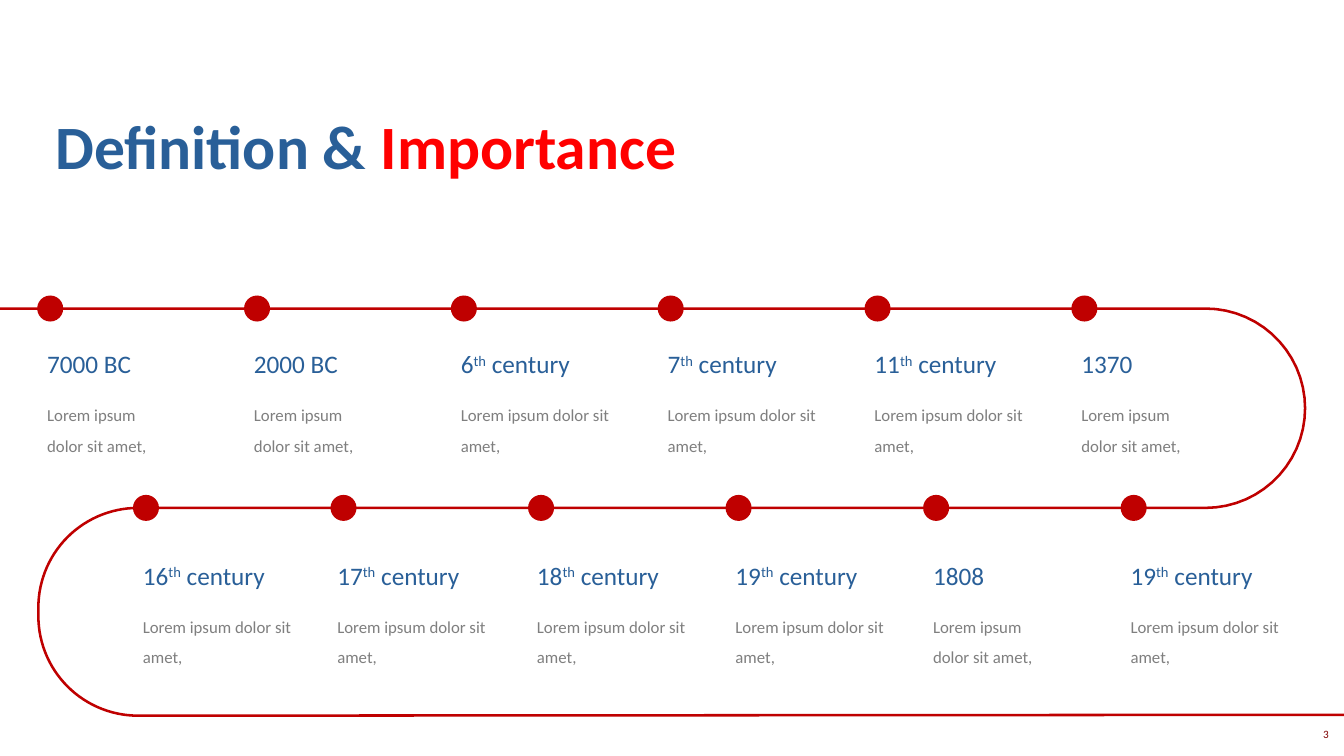
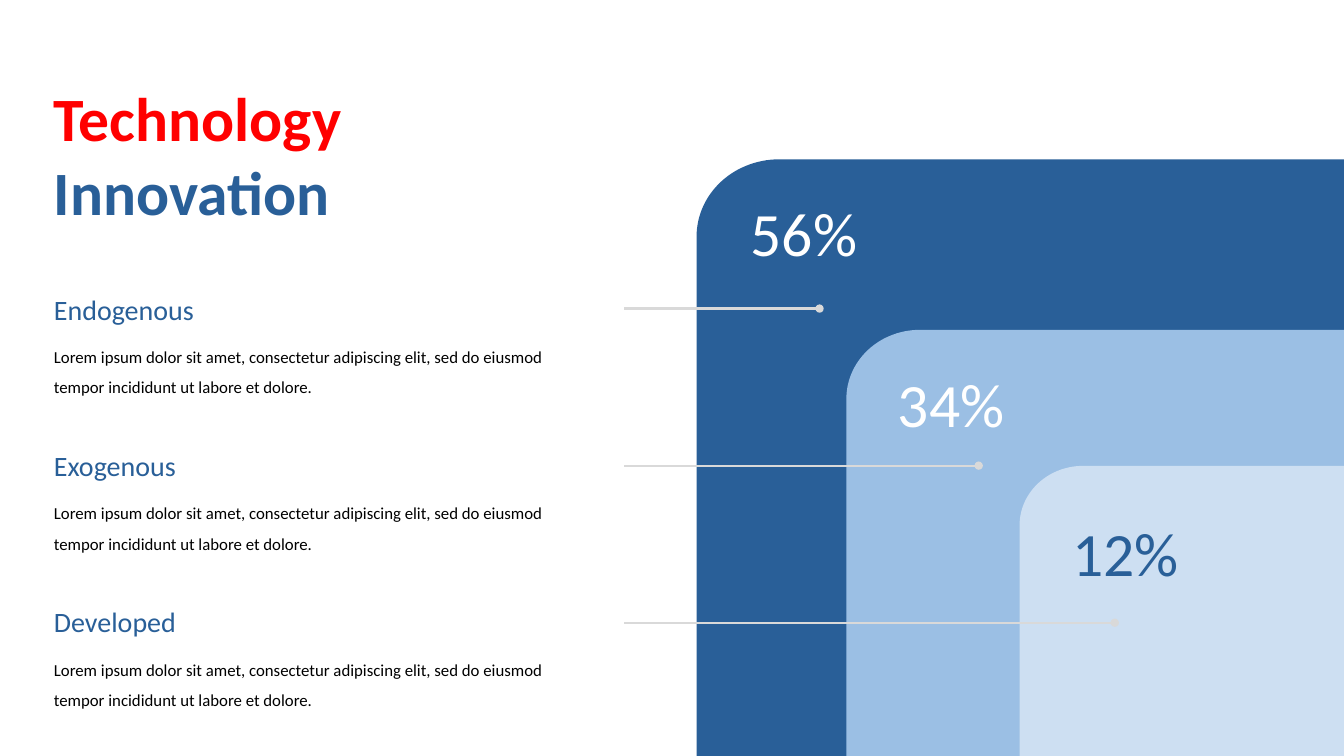
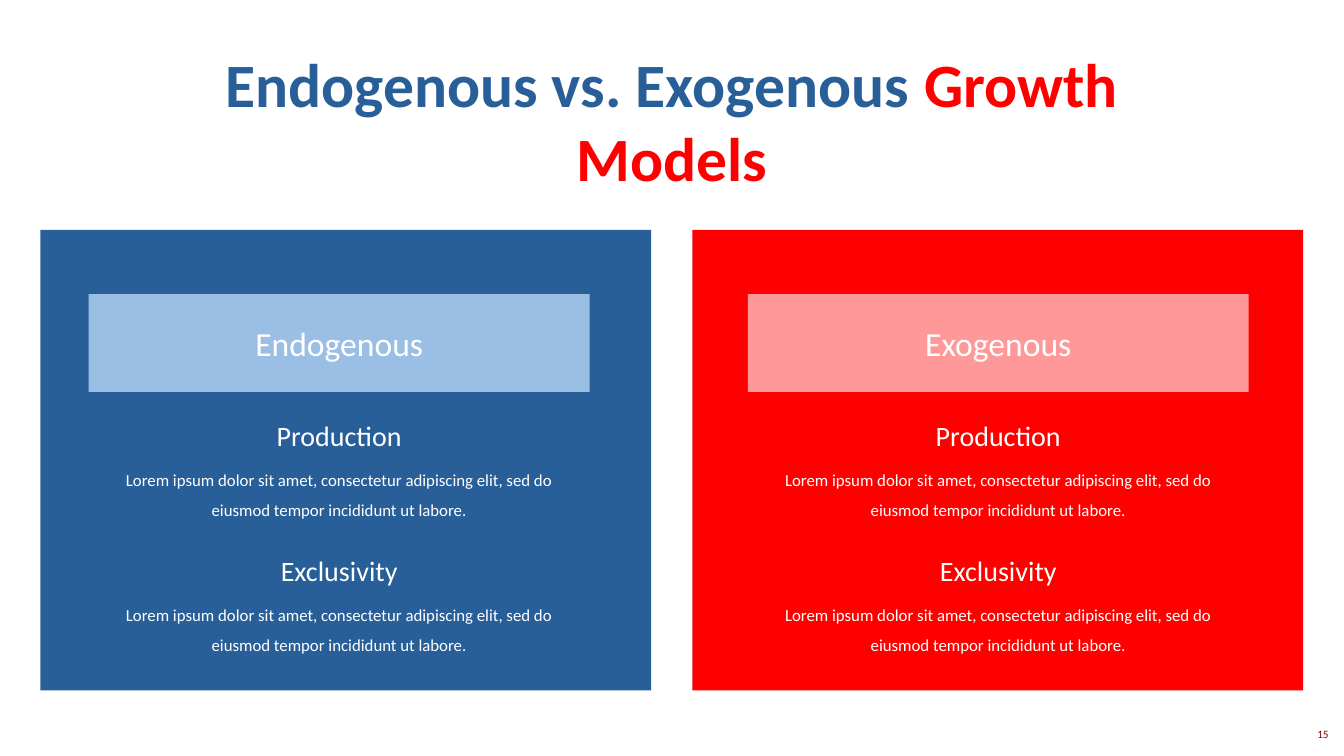
"""Build three slides on growth: a winding timeline, nested shares and two models."""
from math import cos, radians, sin

from lxml.etree import SubElement
from pptx import Presentation
from pptx.dml.color import RGBColor
from pptx.enum.shapes import MSO_CONNECTOR, MSO_SHAPE
from pptx.enum.text import MSO_ANCHOR, MSO_AUTO_SIZE, PP_ALIGN
from pptx.oxml.ns import qn
from pptx.util import Pt

FONT = "Calibri"
WIDE, HIGH = 960, 540
BLUE, RED, SKY, PALE, PINK = "295F98", "FF0000", "9BBFE4", "CDDFF2", "FF9999"
RAIL, GRAY, RULE, WHITE, BLACK, WINE = "BF0000", "7F7F7F", "D9D9D9", "FFFFFF", "000000", "800000"
LEFT, MID, RIGHT = PP_ALIGN.LEFT, PP_ALIGN.CENTER, PP_ALIGN.RIGHT

DATES = [
    {"x": 26.6, "pitch": 147.74, "rail": 220.4, "top": 245.5, "shift": [0] * 6,
     "names": ["7000 BC", "2000 BC", "6th century", "7th century", "11th century", "1370"]},
    {"x": 95, "pitch": 141.1, "rail": 362.8, "top": 396.7, "shift": [0, -2.2, -0.7, 0, 0, 0],
     "names": ["16th century", "17th century", "18th century", "19th century", "1808",
               "19th century"]},
]
EVENT = "Lorem ipsum dolor sit amet,"
DOT, BEND = 18.6, 71.2

TOPICS = ["Endogenous", "Exogenous", "Developed"]
ABOUT = ("Lorem ipsum dolor sit amet, consectetur adipiscing elit, sed do eiusmod "
         "tempor incididunt ut labore et dolore.")
TIERS = [
    (497.6, 113.8, 59, BLUE, "56%", WHITE, (529.2, 135.4), 585.4),
    (604.6, 235.6, 52.6, SKY, "34%", WHITE, (634.3, 257.8), 699.1),
    (728.3, 332.8, 45.4, PALE, "12%", BLUE, (758.9, 364.3), 796.3),
]

MODELS = [(28.8, 63.4, BLUE, SKY, "Endogenous"), (494.6, 534.2, RED, PINK, "Exogenous")]
TRAITS = ["Production", "Exclusivity"]
NOTE = ("Lorem ipsum dolor sit amet, consectetur adipiscing elit, sed do eiusmod "
        "tempor incididunt ut labore.")


def tint(code):
    """Turn a hex string into a colour."""
    return RGBColor.from_string(code)


def fill(frame, runs, size, align=LEFT, bold=False, space=None):
    """Write runs of (text, colour, raised) into the first paragraph."""
    frame.word_wrap = True
    para = frame.paragraphs[0]
    para.alignment = align
    if space:
        para.line_spacing = space
    for words, code, *raised in runs:
        run = para.add_run()
        run.text = words
        font = run.font
        font.name, font.size, font.bold = FONT, Pt(size), bold
        font.color.rgb = tint(code)
        if raised and raised[0]:
            run._r.get_or_add_rPr().set("baseline", "30000")


def write(slide, box, runs, size, **style):
    """Add a text box."""
    frame = slide.shapes.add_textbox(*map(Pt, box)).text_frame
    fill(frame, runs, size, **style)
    frame.auto_size = MSO_AUTO_SIZE.SHAPE_TO_FIT_TEXT


def title(slide, box, runs, align=LEFT):
    """Add the bold two-colour title."""
    write(slide, box, runs, 44, align=align, bold=True)


def number(slide, page):
    """Add the page number in the corner."""
    write(slide, (917.3, 516.2, 38.9, 17), [(page, WINE)], 8, align=RIGHT)


def pair(slide, x, y, wide, head, body, size, drop, code, align=LEFT):
    """Add a heading with a body text below it."""
    write(slide, (x, y, wide, 30), head, size, align=align)
    write(slide, (x, y + drop, wide, 51), [(body, code)], 12, align=align, space=1.5)


def paint(shape, code):
    """Give a shape a flat fill without line or shadow."""
    shape.shadow.inherit = False
    shape.fill.solid()
    shape.fill.fore_color.rgb = tint(code)
    shape.line.fill.background()
    return shape


def block(slide, kind, box, code):
    """Add a flat preset shape."""
    return paint(slide.shapes.add_shape(kind, *map(Pt, box)), code)


def arc(x, y, wide, high, start, end, steps=30):
    """List points on an elliptic arc."""
    turns = [radians(start + (end - start) * i / steps) for i in range(steps + 1)]
    return [(x + wide * cos(t), y + high * sin(t)) for t in turns]


def trace(slide, dots, close):
    """Add an outline through the points."""
    first, *rest = [(Pt(x), Pt(y)) for x, y in dots]
    pen = slide.shapes.build_freeform(*first)
    pen.add_line_segments(rest, close=close)
    return pen.convert_to_shape()


def history(slide):
    """Draw the winding timeline."""
    title(slide, (32.4, 73.4, 907, 60.5), [("Definition &", BLUE), (" Importance", RED)])
    top, low = (row["rail"] for row in DATES)
    near, far = 98.6, 861
    path = [(0, top), *arc(far, top + BEND, BEND, BEND, -90, 90),
            *arc(near, low + BEND, BEND, BEND, 270, 180),
            *arc(near, low + BEND + 6, BEND, BEND, 180, 90), (WIDE, 510.6)]
    rail = trace(slide, path, False)
    rail.shadow.inherit = False
    rail.fill.background()
    rail.line.color.rgb = tint(RAIL)
    rail.line.width = Pt(1.82)
    for row in DATES:
        for i, name in enumerate(row["names"]):
            x = row["x"] + i * row["pitch"]
            block(slide, MSO_SHAPE.OVAL, (x, row["rail"] - DOT / 2, DOT, DOT), RAIL)
            head = [(part, BLUE, part == "th") for part in name.partition("th") if part]
            pair(slide, x + row["shift"][i], row["top"], 106 if len(head) == 1 else 133,
                 head, EVENT, 18, 33.1, GRAY)
    number(slide, "3")


def shares(slide):
    """Draw the nested shares and their topics."""
    for x, y, bend, code, *_ in TIERS:
        high = bend * 0.935
        path = [(WIDE, y), *arc(x + bend, y + high, bend, high, 270, 180),
                (x, HIGH), (WIDE, HIGH)]
        paint(trace(slide, path, True), code)
    for i, (*_, share, ink, spot, tip) in enumerate(TIERS):
        y = 220.4 + i * 112.2
        lead = slide.shapes.add_connector(
            MSO_CONNECTOR.STRAIGHT, Pt(tip), Pt(y), Pt(446), Pt(y))
        lead.line.color.rgb = tint(RULE)
        lead.line.width = Pt(1.5)
        shell = lead._element.spPr
        SubElement(shell.find(qn("a:ln")), qn("a:headEnd"), type="oval")
        SubElement(shell, qn("a:effectLst"))
        write(slide, (*spot, 179.3, 60.5), [(share, ink)], 44)
        pair(slide, 31.4, 205.2 + i * 111.7, 396.7, [(TOPICS[i], BLUE)],
             ABOUT, 20, 31.7, BLACK)
    title(slide, (31.4, 53.3, 415.4, 113.8), [("Technology", RED), (" Innovation", BLUE)])


def models(slide):
    """Draw the two models side by side."""
    wide = 357.8
    for x, inner, code, soft, name in MODELS:
        block(slide, MSO_SHAPE.RECTANGLE, (x, 164.2, 436.3, 329), code)
        band = block(slide, MSO_SHAPE.RECTANGLE, (inner, 210.2, wide, 69.8), soft)
        band.text_frame.vertical_anchor = MSO_ANCHOR.MIDDLE
        fill(band.text_frame, [(name, WHITE)], 24, align=MID)
        for i, trait in enumerate(TRAITS):
            pair(slide, inner, 295.7 + i * 96.2, wide, [(trait, WHITE)],
                 NOTE, 20, 29.2, WHITE, MID)
    title(slide, (86.4, 29.5, 787, 113.8),
          [("Endogenous vs. Exogenous ", BLUE), ("Growth Models", RED)], MID)
    number(slide, "15")


def main():
    """Build and save the deck."""
    deck = Presentation()
    deck.slide_width, deck.slide_height = Pt(WIDE), Pt(HIGH)
    for draw in (history, shares, models):
        draw(deck.slides.add_slide(deck.slide_layouts[6]))
    deck.save("out.pptx")


if __name__ == "__main__":
    main()
